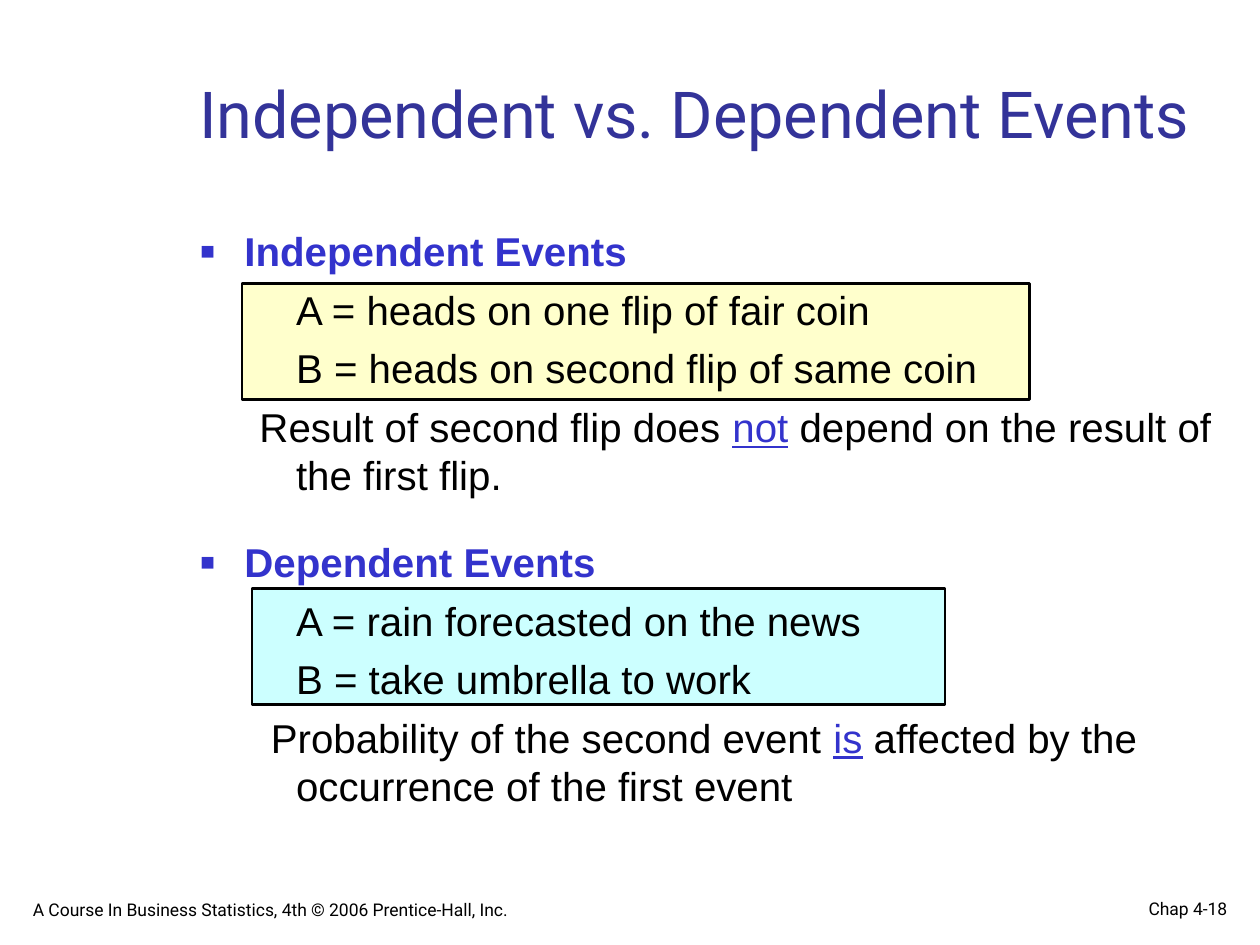
from dataclasses import dataclass

from lxml import etree
from pptx import Presentation
from pptx.dml.color import RGBColor
from pptx.enum import shapes, text
from pptx.oxml import ns
from pptx.util import Inches, Pt


@dataclass(frozen=True)
class Theme:
    black: str = "000000"
    title: str = "333399"
    accent: str = "3333CC"
    cream: str = "FFFFCC"
    aqua: str = "CCFFFF"
    head: str = "Roboto"
    body: str = "Arial"
    big: float = 37
    mid: float = 23
    small: float = 10
    gap: float = 5.8


class Page:
    def __init__(self, slide, theme):
        self.slide = slide
        self.theme = theme

    def frame(self, x, y, w, h, anchor):
        box = self.slide.shapes.add_textbox(*map(Inches, (x, y, w, h)))
        frame = box.text_frame
        frame.word_wrap = True
        frame.vertical_anchor = anchor
        frame.margin_left = frame.margin_right = Inches(0.09)
        frame.margin_top = frame.margin_bottom = Inches(0.05)
        return frame

    def font(self, para, name, size, color, bold=False):
        font = para.font
        font.name, font.size, font.bold = name, Pt(size), bold
        font.color.rgb = RGBColor.from_string(color)

    def label(self, words, at, size, color, align):
        """Add one line that stands on the bottom of its box."""
        para = self.frame(*at, text.MSO_ANCHOR.BOTTOM).paragraphs[0]
        para.text = words
        para.alignment = align
        self.font(para, self.theme.head, size, color)

    def panel(self, x, y, w, h, fill):
        rect = self.slide.shapes.add_shape(
            shapes.MSO_SHAPE.RECTANGLE, *map(Inches, (x, y, w, h)))
        rect.shadow.inherit = False
        rect.fill.solid()
        rect.fill.fore_color.rgb = RGBColor.from_string(fill)
        rect.line.color.rgb = RGBColor.from_string(self.theme.black)
        rect.line.width = Pt(1.5)

    def indent(self, para, left, first):
        props = para._p.get_or_add_pPr()
        props.set("marL", str(Inches(left)))
        props.set("indent", str(Inches(first)))
        return props

    def topic(self, para, words):
        """Fill a paragraph as a bold heading with a square bullet."""
        props = self.indent(para, 0.35, -0.35)
        color = etree.SubElement(props, ns.qn("a:buClr"))
        etree.SubElement(color, ns.qn("a:srgbClr"), val=self.theme.accent)
        etree.SubElement(props, ns.qn("a:buSzPct"), val="60000")
        etree.SubElement(props, ns.qn("a:buFont"), typeface=self.theme.body)
        etree.SubElement(props, ns.qn("a:buChar"), char="■")
        para.text = words
        self.font(para, self.theme.body, self.theme.mid, self.theme.accent, True)

    def line(self, para, parts, first=0):
        """Fill a plain paragraph; every second part is stressed."""
        self.indent(para, 0.76, first)
        self.font(para, self.theme.body, self.theme.mid, self.theme.black)
        for i, words in enumerate(parts):
            run = para.add_run()
            run.text = words
            if i % 2:
                run.font.underline = True
                run.font.color.rgb = RGBColor.from_string(self.theme.accent)

    def topics(self, at, items):
        frame = self.frame(*at, text.MSO_ANCHOR.TOP)
        for i, (head, events, result, first) in enumerate(items):
            para = frame.add_paragraph() if i else frame.paragraphs[0]
            if i:
                para.line_spacing = 1.6
                para.space_before = Pt(self.theme.gap)
            self.topic(para, head)
            rows = [([event], 0) for event in events] + [(result, first)]
            for parts, shift in rows:
                para = frame.add_paragraph()
                para.space_before = Pt(self.theme.gap)
                self.line(para, parts, shift)


def main():
    deck = Presentation()
    deck.slide_width, deck.slide_height = Inches(10), Inches(7.5)
    theme = Theme()
    page = Page(deck.slides.add_slide(deck.slide_layouts[6]), theme)
    align = text.PP_ALIGN

    page.label("Chap 4-18", (7.75, 7, 2.08, 0.34),
               theme.small, theme.black, align.RIGHT)
    page.label("A Course In Business Statistics, 4th © 2006 Prentice-Hall, Inc.",
               (0.17, 7, 5.08, 0.35), theme.small, theme.black, align.LEFT)
    page.panel(2, 4.67, 5.5, 0.92, theme.aqua)
    page.panel(1.92, 2.25, 6.25, 0.92, theme.cream)
    page.topics((1.5, 1.75, 8.33, 5.08), [
        ("Independent Events",
         ["A = heads on one flip of fair coin",
          "B = heads on second flip of same coin"],
         ["Result of second flip does ", "not",
          " depend on the result of the first flip."], -0.29),
        ("Dependent Events",
         ["A = rain forecasted on the news",
          "B = take umbrella to work"],
         ["Probability of the second event ", "is",
          " affected by the occurrence of the first event"], -0.2),
    ])
    page.label("Independent vs. Dependent Events", (1.25, 0.42, 8.52, 0.83),
               theme.big, theme.title, align.CENTER)
    deck.save("out.pptx")


if __name__ == "__main__":
    main()
